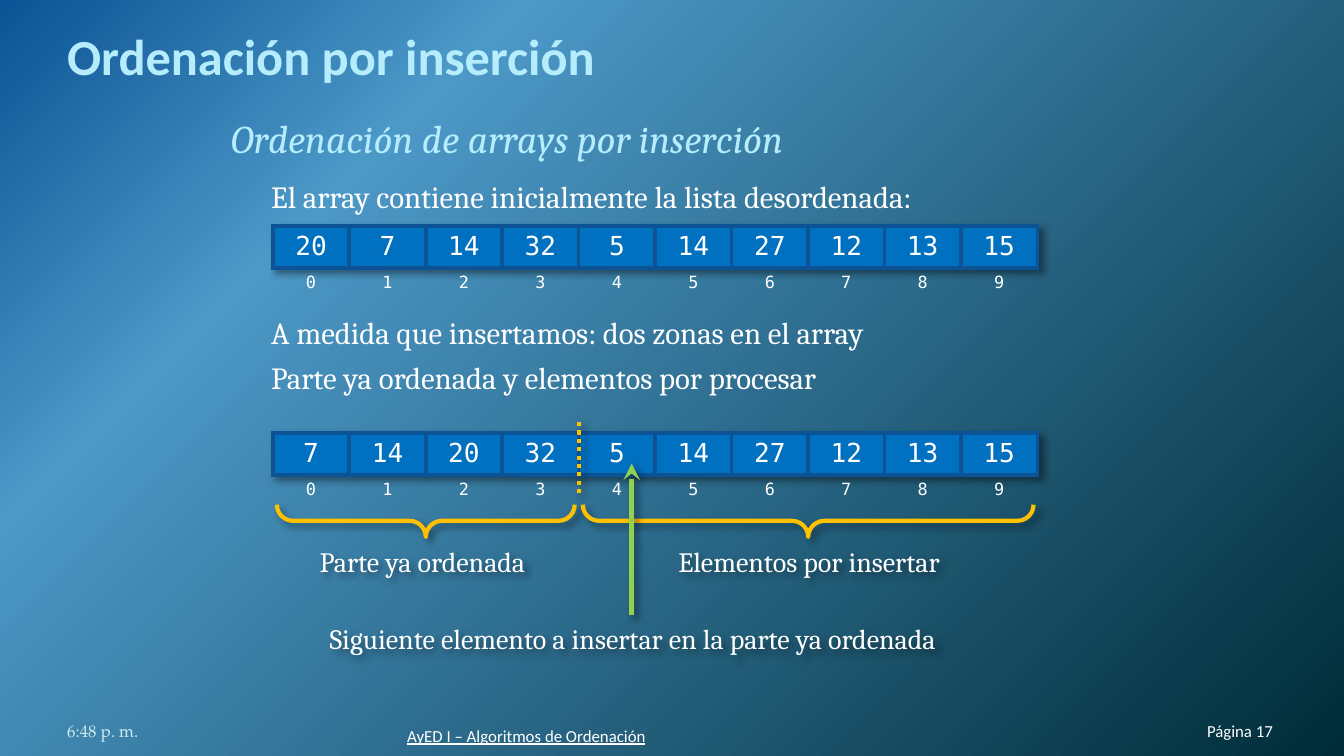
import lxml.etree
import pptx
import pptx.dml.color
import pptx.enum.dml
import pptx.enum.shapes
import pptx.enum.text
import pptx.oxml
import pptx.oxml.ns
import pptx.util

WIDE = pptx.util.Inches(10)
HIGH = WIDE * 9 // 16
LEFT, COL = 20.3, 5.69  # array grid, in % of the slide width
BLUE, NAVY, GOLD, GREEN = "0070C0", "0B5394", "FFC000", "92D050"
WHITE, PALE = "FFFFFF", "B5EDFD"
SERIF, SANS, MONO = "Cambria", "Calibri", "DejaVu Sans Mono"
ALIGN = pptx.enum.text.PP_ALIGN
ANCHOR = pptx.enum.text.MSO_ANCHOR
PT = pptx.util.Pt


def ink(code):
    return pptx.dml.color.RGBColor.from_string(code)


def wide(share):
    return round(WIDE * share / 100)


def high(share):
    return round(HIGH * share / 100)


def edge(col):
    """Left edge of an array column, in % of the slide width."""
    return LEFT + COL * col


def node(text):
    """Parse XML that uses the drawing namespace."""
    return pptx.oxml.parse_xml(
        text.replace(" ", f" {pptx.oxml.ns.nsdecls('a')} ", 1))


def shade():
    return node(
        f'<a:effectLst ><a:outerShdw blurRad="{PT(4)}" dist="{PT(3)}" '
        'dir="2700000" algn="tl" rotWithShape="0"><a:srgbClr val="000000">'
        '<a:alpha val="40000"/></a:srgbClr></a:outerShdw></a:effectLst>')


def style(para, size, face, code, align=ALIGN.LEFT, after=0):
    para.alignment = align
    para.space_after = PT(after)
    font = para.font
    font.size, font.name = PT(size), face
    font.color.rgb = ink(code)


def paint(slide):
    """Fill the background with a gradient that starts at the top left."""
    stops = "".join(
        f'<a:gs pos="{pos}000"><a:srgbClr val="{code}"/></a:gs>'
        for pos, code in ((0, NAVY), (25, "4C98C7"), (100, "002C38")))
    fill = slide.background.fill
    fill.solid()
    old = slide._element.cSld.find(".//" + pptx.oxml.ns.qn("a:solidFill"))
    old.getparent().replace(old, node(
        f'<a:gradFill rotWithShape="1"><a:gsLst>{stops}</a:gsLst>'
        '<a:path path="circle"><a:fillToRect r="100000" b="100000"/></a:path>'
        '</a:gradFill>'))


def frame(slide, x, y, w, h):
    box = slide.shapes.add_textbox(wide(x), high(y), wide(w), high(h))
    box.text_frame.word_wrap = True
    return box


def line(slide, text, place, size, face, code, align=ALIGN.LEFT, top=0):
    """One paragraph that sits at the bottom of its box."""
    body = frame(slide, *place).text_frame
    body.vertical_anchor = ANCHOR.BOTTOM
    body.margin_left = body.margin_right = body.margin_bottom = 0
    body.margin_top = pptx.util.Inches(top)
    para = body.paragraphs[0]
    para.text = text
    style(para, size, face, code, align)
    return para


def title(slide, text):
    para = line(slide, text, (5, 4.09, 90, 7.29), 27, SANS, PALE, top=0.05)
    para.font.bold = True
    para.runs[0]._r.get_or_add_rPr().insert(0, node(
        f'<a:ln w="{PT(0.75)}"><a:solidFill><a:srgbClr val="{BLUE}"/>'
        '</a:solidFill></a:ln>'))


def prose(slide, head, items):
    """Heading and indented lines; each item is a text and the gap above it."""
    body = frame(slide, 16.2, 14.22, 68.6, 74.5).text_frame
    para = body.paragraphs[0]
    para.text = head
    style(para, 21, SERIF, PALE, after=9)
    para.font.italic = True
    for text, gap in items:
        para = body.add_paragraph()
        para.text, para.level = text, 1
        style(para, 16.5, SERIF, WHITE, after=4.5)
        para.space_before = PT(gap)
        prop = para._p.get_or_add_pPr()
        prop.set("marL", str(pptx.util.Inches(0.3)))
        prop.set("indent", "0")


def border(cell, sides):
    prop = cell._tc.get_or_add_tcPr()
    for spot, side in enumerate(sides):
        prop.insert(spot, node(
            f'<a:ln{side} w="{PT(2.25)}"><a:solidFill><a:srgbClr val="{NAVY}"/>'
            f'</a:solidFill></a:ln{side}>'))


def array(slide, y, values):
    """A row of values above a row of their indexes."""
    count = len(values)
    table = slide.shapes.add_table(
        2, count, wide(LEFT), high(y), wide(COL * count), high(9.7)).table
    table.first_row = table.horz_banding = False
    prop = table._tbl.tblPr
    prop.find(pptx.oxml.ns.qn("a:tableStyleId")).text = (
        "{2D5ABB26-0587-4C30-8999-92F81FD0307C}")
    prop.insert(0, shade())
    for col in table.columns:
        col.width = wide(COL)
    rows = ((values, 14, 5.4, "LRTB"), (range(count), 9, 4.3, "T"))
    for row, (items, size, tall, sides) in enumerate(rows):
        table.rows[row].height = high(tall)
        for col, item in enumerate(items):
            cell = table.cell(row, col)
            cell.margin_left = cell.margin_right = pptx.util.Inches(0.07)
            cell.margin_top = cell.margin_bottom = pptx.util.Inches(0.04)
            para = cell.text_frame.paragraphs[0]
            para.text = str(item)
            style(para, size, MONO, WHITE, ALIGN.CENTER)
            if row:
                cell.fill.background()
            else:
                cell.fill.solid()
                cell.fill.fore_color.rgb = ink(BLUE)
            border(cell, sides)


def stroke(slide, x, low, top, code, width):
    """Vertical line drawn upwards."""
    link = slide.shapes.add_connector(
        pptx.enum.shapes.MSO_CONNECTOR.STRAIGHT,
        wide(x), high(low), wide(x), high(top))
    link.line.color.rgb = ink(code)
    link.line.width = PT(width)
    link._element.spPr.append(shade())
    return link.line


def brace(slide, first, last):
    """Brace under the columns from first up to last."""
    span, thick = wide(COL * (last - first) - 0.6), wide(2.4)
    mid = wide(edge((first + last) / 2))
    form = slide.shapes.add_shape(
        pptx.enum.shapes.MSO_SHAPE.RIGHT_BRACE,
        mid - thick // 2, high(68.9) - span // 2, thick, span)
    form.rotation = 90
    form.adjustments[0], form.adjustments[1] = 0.5, 0.5
    form.fill.background()
    form.line.color.rgb = ink(GOLD)
    form.line.width = PT(2.25)
    form._element.spPr.append(shade())


def label(slide, text, x, y, w, align=ALIGN.CENTER):
    box = frame(slide, x, y, w, 6.2)
    box._element.spPr.append(shade())
    body = box.text_frame
    body.word_wrap = False
    body.auto_size = pptx.enum.text.MSO_AUTO_SIZE.SHAPE_TO_FIT_TEXT
    para = body.paragraphs[0]
    para.text = text
    style(para, 15, SERIF, WHITE, align, 4.5)


def main():
    deck = pptx.Presentation()
    deck.slide_width, deck.slide_height = WIDE, HIGH
    slide = deck.slides.add_slide(deck.slide_layouts[6])
    paint(slide)
    title(slide, "Ordenación por inserción")
    prose(slide, "Ordenación de arrays por inserción", (
        ("El array contiene inicialmente la lista desordenada:", 0),
        ("A medida que insertamos: dos zonas en el array", 48.5),
        ("Parte ya ordenada y elementos por procesar", 0)))
    line(slide, "Página 17", (84.9, 92.62, 9.8, 5.33), 9, SANS, WHITE, ALIGN.RIGHT)

    rest = [5, 14, 27, 12, 13, 15]
    array(slide, 29.87, [20, 7, 14, 32] + rest)
    array(slide, 57.24, [7, 14, 20, 32] + rest)
    split = stroke(slide, edge(4), 65.24, 55.64, GOLD, 2.25)
    split.dash_style = pptx.enum.dml.MSO_LINE.ROUND_DOT
    brace(slide, 0, 4)
    label(slide, "Parte ya ordenada", 22.8, 71.1, 18.4, ALIGN.LEFT)
    brace(slide, 4, 10)
    label(slide, "Elementos por insertar", 48.8, 71.1, 22.8)
    label(slide, "Siguiente elemento a insertar en la parte ya ordenada", 22.1, 81.4, 50)
    arrow = stroke(slide, 47, 81.4, 61.3, GREEN, 3)
    lxml.etree.SubElement(
        arrow._get_or_add_ln(), pptx.oxml.ns.qn("a:tailEnd"), type="stealth")

    line(slide, "6:48 p. m.", (5, 92.62, 23.3, 5.33), 9, "TeX Gyre Pagella", "D1EAEE")
    foot = line(slide, "AyED I – Algoritmos de Ordenación",
                (30.3, 93.33, 37.8, 5.33), 9, SANS, WHITE)
    foot.font.underline = True
    deck.save("out.pptx")


if __name__ == "__main__":
    main()
